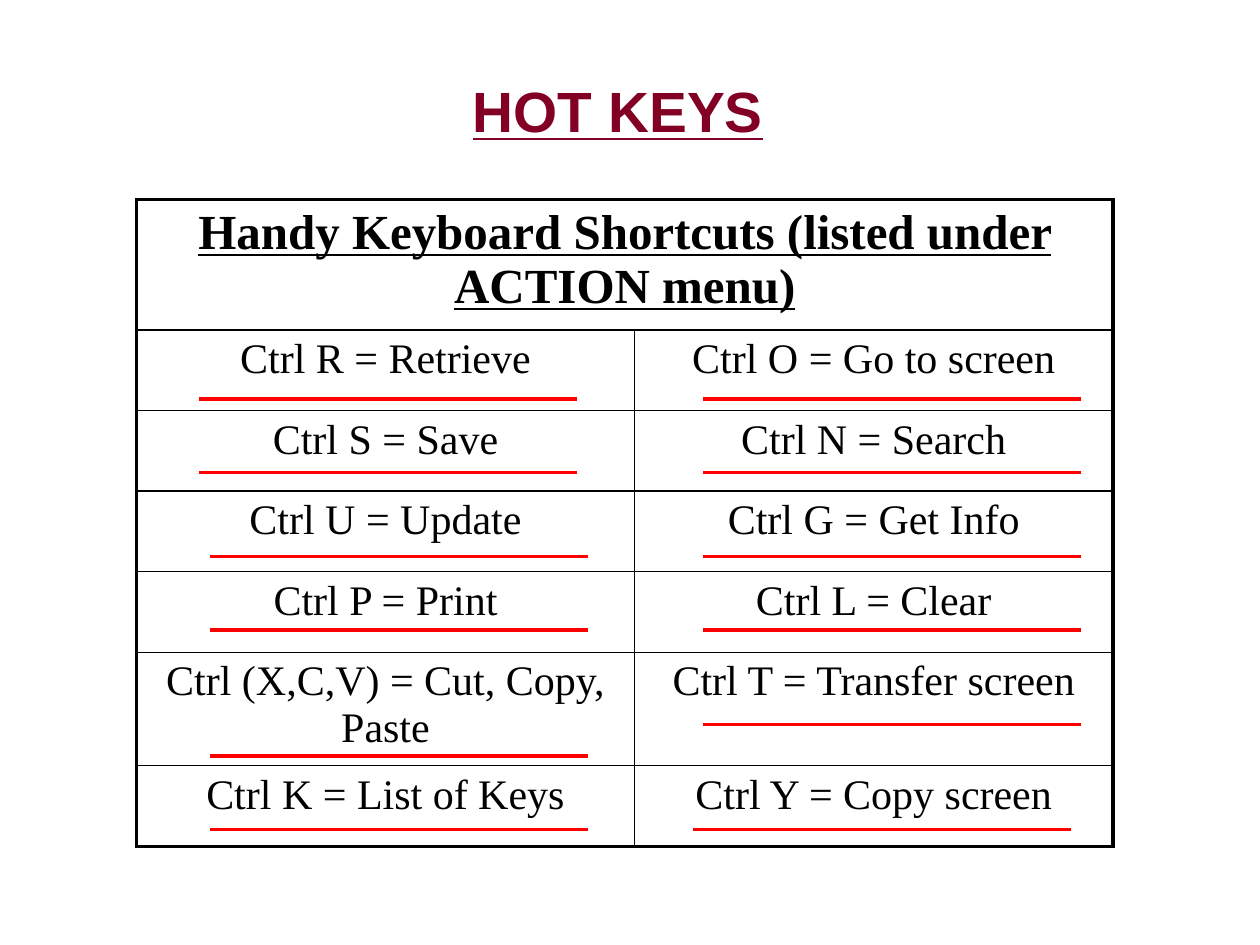
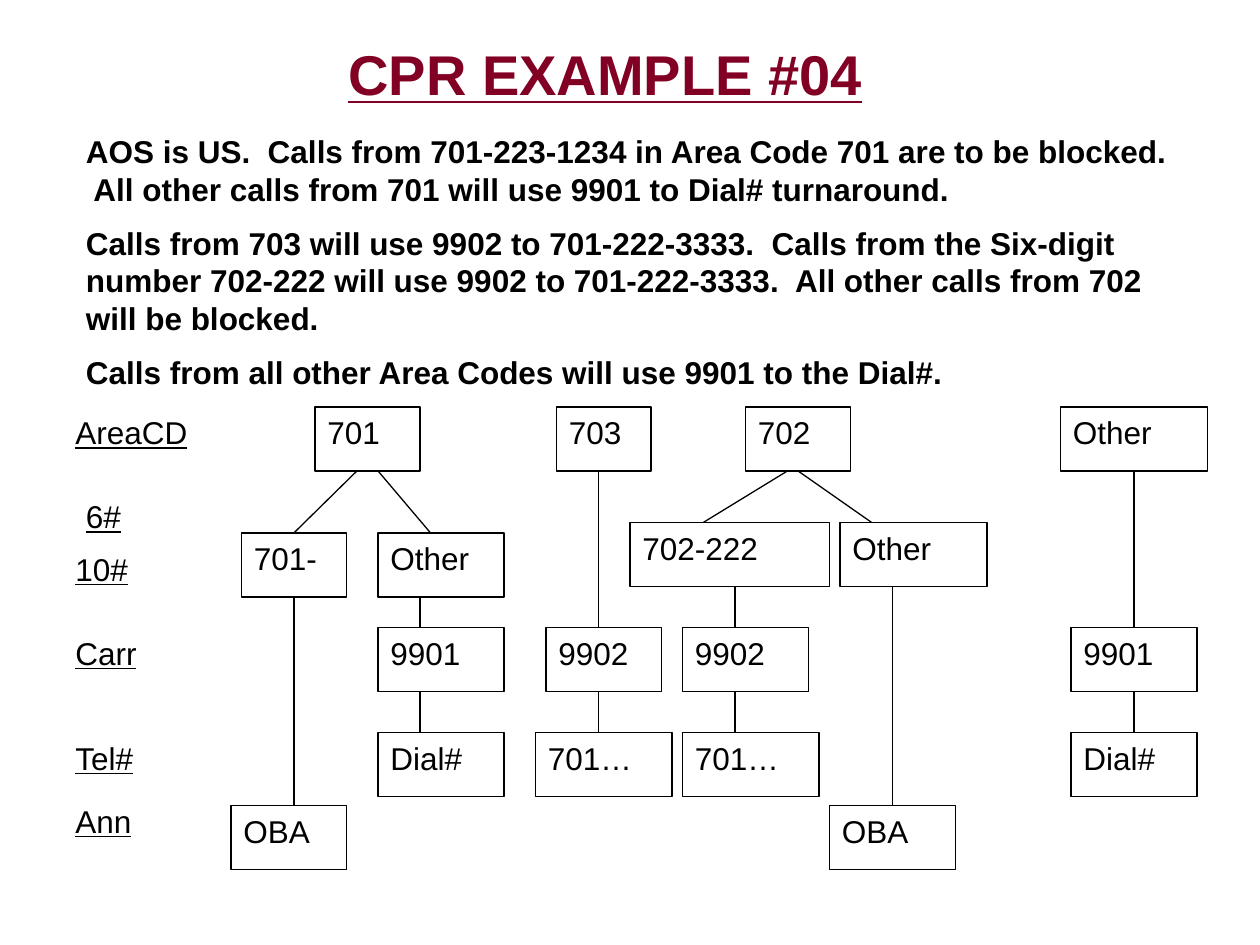
from dataclasses import dataclass

from lxml.etree import SubElement
from pptx import Presentation
from pptx.dml.color import RGBColor
from pptx.enum.shapes import MSO_CONNECTOR, MSO_SHAPE
from pptx.enum.text import MSO_ANCHOR, PP_ALIGN
from pptx.oxml.ns import qn
from pptx.util import Inches, Pt

COLUMNS, ROWS = 120, 90
SLIDE_WIDTH, SLIDE_HEIGHT = Inches(10), Inches(7.5)


@dataclass(frozen=True)
class Theme:
    """Colours, fonts and point sizes of the deck."""
    title_color: RGBColor = RGBColor(0x82, 0x00, 0x24)
    ink: RGBColor = RGBColor(0x00, 0x00, 0x00)
    accent: RGBColor = RGBColor(0xFF, 0x00, 0x00)
    sans: str = "Arial"
    serif: str = "Times New Roman"
    title_large: float = 32.4
    title_size: float = 32
    heading_size: float = 28
    cell_size: float = 24
    body_size: float = 18
    paragraph_gap: float = 9
    frame_line: float = 2.25
    cell_line: float = 1
    accent_line: float = 2
    node_line: float = 0.75


THEME = Theme()


@dataclass(frozen=True)
class Box:
    """A region measured in grid columns and rows."""
    left: float
    top: float
    width: float
    height: float

    def inside(self, left, top, width, height):
        """Return a box placed relative to this one."""
        return Box(self.left + left, self.top + top, width, height)

    def lengths(self):
        """Return left, top, width and height as slide lengths."""
        return (across(self.left), down(self.top),
                across(self.width), down(self.height))


NODE_HEIGHT = 6.1
SHORTCUT_BOX = Box(13, 19, 93, 61.5)
DIAGRAM_BOX = Box(6, 38.75, 109, 44)

SHORTCUT_HEADING = "Handy Keyboard Shortcuts (listed under ACTION menu)"
SHORTCUTS = [
    ("Ctrl R = Retrieve", "Ctrl O = Go to screen"),
    ("Ctrl S = Save", "Ctrl N = Search"),
    ("Ctrl U = Update", "Ctrl G = Get Info"),
    ("Ctrl P = Print", "Ctrl L = Clear"),
    ("Ctrl (X,C,V) = Cut, Copy, Paste", "Ctrl T = Transfer screen"),
    ("Ctrl K = List of Keys", "Ctrl Y = Copy screen"),
]
COLUMN_SHARES = (0.51, 0.49)
ROW_HEIGHTS = [10.92] + [7.68] * len(SHORTCUTS)
RULE_LENGTH = 36
RULE_STARTS = [
    (6, 19), (6, 26), (7, 34), (7, 41), (7, 53), (7, 60),
    (54, 19), (54, 26), (54, 34), (54, 41), (54, 50), (53, 60),
]

CALL_RULES = [
    "AOS is US.  Calls from 701-223-1234 in Area Code 701 are to be blocked.  "
    "All other calls from 701 will use 9901 to Dial# turnaround.",
    "Calls from 703 will use 9902 to 701-222-3333.  Calls from the Six-digit "
    "number 702-222 will use 9902 to 701-222-3333.  "
    "All other calls from 702 will be blocked.",
    "Calls from all other Area Codes will use 9901 to the Dial#.",
]
AREA, SIX_DIGIT, TEN_DIGIT, CARRIER, TELEPHONE, BLOCKED = 0, 11, 12, 21, 31, 38
LEVEL_LABELS = [
    ("AreaCD", 0, AREA), ("6#", 1, 8), ("10#", 0, 13),
    ("Carr", 0, CARRIER), ("Tel#", 0, TELEPHONE), ("Ann", 0, 37),
]
NODES = {
    "area 701": ("701", 24, AREA, 10),
    "area 703": ("703", 47, AREA, 9),
    "area 702": ("702", 65, AREA, 10),
    "area other": ("Other", 95, AREA, 14),
    "701 number": ("701-", 17, TEN_DIGIT, 10),
    "701 other": ("Other", 30, TEN_DIGIT, 12),
    "702 number": ("702-222", 54, SIX_DIGIT, 19),
    "702 other": ("Other", 74, SIX_DIGIT, 14),
    "701 carrier": ("9901", 30, CARRIER, 12),
    "703 carrier": ("9902", 46, CARRIER, 11),
    "702 carrier": ("9902", 59, CARRIER, 12),
    "other carrier": ("9901", 96, CARRIER, 12),
    "701 telephone": ("Dial#", 30, TELEPHONE, 12),
    "703 telephone": ("701…", 45, TELEPHONE, 13),
    "702 telephone": ("701…", 59, TELEPHONE, 13),
    "other telephone": ("Dial#", 96, TELEPHONE, 12),
    "701 blocked": ("OBA", 16, BLOCKED, 11),
    "702 blocked": ("OBA", 73, BLOCKED, 12),
}
BRANCHES = [
    ("area 701", 28, "701 number", 22),
    ("area 701", 30, "701 other", 35),
    ("701 number", 22, "701 blocked", 22),
    ("701 other", 34, "701 carrier", 34),
    ("701 carrier", 34, "701 telephone", 34),
    ("area 703", 51, "703 carrier", 51),
    ("703 carrier", 51, "703 telephone", 51),
    ("area 702", 69, "702 number", 61),
    ("area 702", 70, "702 other", 77),
    ("702 number", 64, "702 carrier", 64),
    ("702 carrier", 64, "702 telephone", 64),
    ("702 other", 79, "702 blocked", 79),
    ("area other", 102, "other carrier", 102),
    ("other carrier", 102, "other telephone", 102),
]


def across(columns):
    """Turn grid columns into a length."""
    return round(SLIDE_WIDTH * columns / COLUMNS)


def down(rows):
    """Turn grid rows into a length."""
    return round(SLIDE_HEIGHT * rows / ROWS)


def write(frame, texts, size, font=THEME.sans, color=THEME.ink,
          bold=False, underline=False, align=PP_ALIGN.LEFT):
    """Fill a text frame with paragraphs of one style."""
    frame.word_wrap = True
    frame.text = "\n".join(texts)
    for index, para in enumerate(frame.paragraphs):
        para.alignment = align
        para.space_before = Pt(THEME.paragraph_gap if index else 0)
        for span in para.runs:
            span.font.name = font
            span.font.size = Pt(size)
            span.font.color.rgb = color
            span.font.bold = bold
            span.font.underline = underline


def add_text(page, box, texts, size, **style):
    """Add a text box and return its frame."""
    frame = page.shapes.add_textbox(*box.lengths()).text_frame
    write(frame, texts, size, **style)
    return frame


def add_title(page, box, text, size, align=PP_ALIGN.LEFT):
    """Add the underlined slide title."""
    frame = add_text(page, box, [text], size, color=THEME.title_color,
                     bold=True, underline=True, align=align)
    frame.vertical_anchor = MSO_ANCHOR.MIDDLE


def add_line(page, start, end, color, width):
    """Draw a straight line between two grid points."""
    line = page.shapes.add_connector(
        MSO_CONNECTOR.STRAIGHT, across(start[0]), down(start[1]),
        across(end[0]), down(end[1]))
    line.line.color.rgb = color
    line.line.width = Pt(width)
    SubElement(line._element.spPr, qn("a:effectLst"))
    return line


def set_borders(cell, widths):
    """Draw the left, right, top and bottom borders of a cell."""
    properties = cell._tc.get_or_add_tcPr()
    for side, width in zip("LRTB", widths):
        border = SubElement(properties, qn(f"a:ln{side}"), w=str(Pt(width)))
        fill = SubElement(border, qn("a:solidFill"))
        SubElement(fill, qn("a:srgbClr"), val=str(THEME.ink))


def add_shortcut_table(page, box):
    """Add the framed table of keyboard shortcuts."""
    row_count, column_count = len(ROW_HEIGHTS), len(COLUMN_SHARES)
    table = page.shapes.add_table(row_count, column_count, *box.lengths()).table
    table.first_row = table.horz_banding = False
    for column, share in zip(table.columns, COLUMN_SHARES):
        column.width = across(box.width * share)
    for row, height in zip(table.rows, ROW_HEIGHTS):
        row.height = down(height)
    table.cell(0, 0).merge(table.cell(0, column_count - 1))
    write(table.cell(0, 0).text_frame, [SHORTCUT_HEADING], THEME.heading_size,
          font=THEME.serif, bold=True, underline=True, align=PP_ALIGN.CENTER)
    for row, pair in enumerate(SHORTCUTS, start=1):
        for column, text in enumerate(pair):
            write(table.cell(row, column).text_frame, [text], THEME.cell_size,
                  font=THEME.serif, align=PP_ALIGN.CENTER)
    for row in range(row_count):
        for column in range(column_count):
            cell = table.cell(row, column)
            outer = (column == 0, row == 0 or column == column_count - 1,
                     row == 0, row == row_count - 1)
            set_borders(cell, [THEME.frame_line if edge else THEME.cell_line
                               for edge in outer])
            cell.fill.background()


def add_shortcut_rules(page, box):
    """Underline each shortcut with a red rule."""
    for left, top in RULE_STARTS:
        rule = box.inside(left, top, RULE_LENGTH, 0)
        add_line(page, (rule.left, rule.top),
                 (rule.left + rule.width, rule.top),
                 THEME.accent, THEME.accent_line)


def add_level_labels(page, box):
    """Name the levels of the call tree."""
    for text, left, top in LEVEL_LABELS:
        add_text(page, box.inside(left, top, 14, 6), [text],
                 THEME.body_size, underline=True)


def add_node(page, box, text):
    """Add one outlined box of the call tree."""
    node = page.shapes.add_shape(MSO_SHAPE.RECTANGLE, *box.lengths())
    node.shadow.inherit = False
    node.fill.background()
    node.line.color.rgb = THEME.ink
    node.line.width = Pt(THEME.node_line)
    write(node.text_frame, [text], THEME.body_size)
    node.text_frame.vertical_anchor = MSO_ANCHOR.TOP
    return node


def add_call_tree(page, box):
    """Add the nodes and branches of the call tree."""
    places = {name: box.inside(left, top, width, NODE_HEIGHT)
              for name, (text, left, top, width) in NODES.items()}
    shapes = {name: add_node(page, places[name], NODES[name][0])
              for name in NODES}
    for parent, start, child, end in BRANCHES:
        upper, lower = places[parent], places[child]
        start, end = box.left + start, box.left + end
        branch = add_line(page, (start, upper.top + NODE_HEIGHT),
                          (end, lower.top), THEME.ink, THEME.node_line)
        if start == upper.left + upper.width / 2:
            branch.begin_connect(shapes[parent], 2)
        if end == lower.left + lower.width / 2:
            branch.end_connect(shapes[child], 0)


def build_hot_keys(page):
    """Build the slide of keyboard shortcuts."""
    add_title(page, Box(27.1, 7, 63.5, 7), "HOT KEYS", THEME.title_large,
              PP_ALIGN.CENTER)
    add_shortcut_table(page, SHORTCUT_BOX)
    add_shortcut_rules(page, SHORTCUT_BOX)


def build_call_example(page):
    """Build the slide of the call routing example."""
    add_title(page, Box(32, 2, 52, 10), "CPR EXAMPLE #04", THEME.title_size)
    add_text(page, Box(7, 12, 106, 26.4), CALL_RULES, THEME.body_size, bold=True)
    add_call_tree(page, DIAGRAM_BOX)
    add_level_labels(page, DIAGRAM_BOX)


def main():
    """Build and save the deck."""
    deck = Presentation()
    deck.slide_width, deck.slide_height = SLIDE_WIDTH, SLIDE_HEIGHT
    for build in (build_hot_keys, build_call_example):
        build(deck.slides.add_slide(deck.slide_layouts[6]))
    deck.save("out.pptx")


if __name__ == "__main__":
    main()
